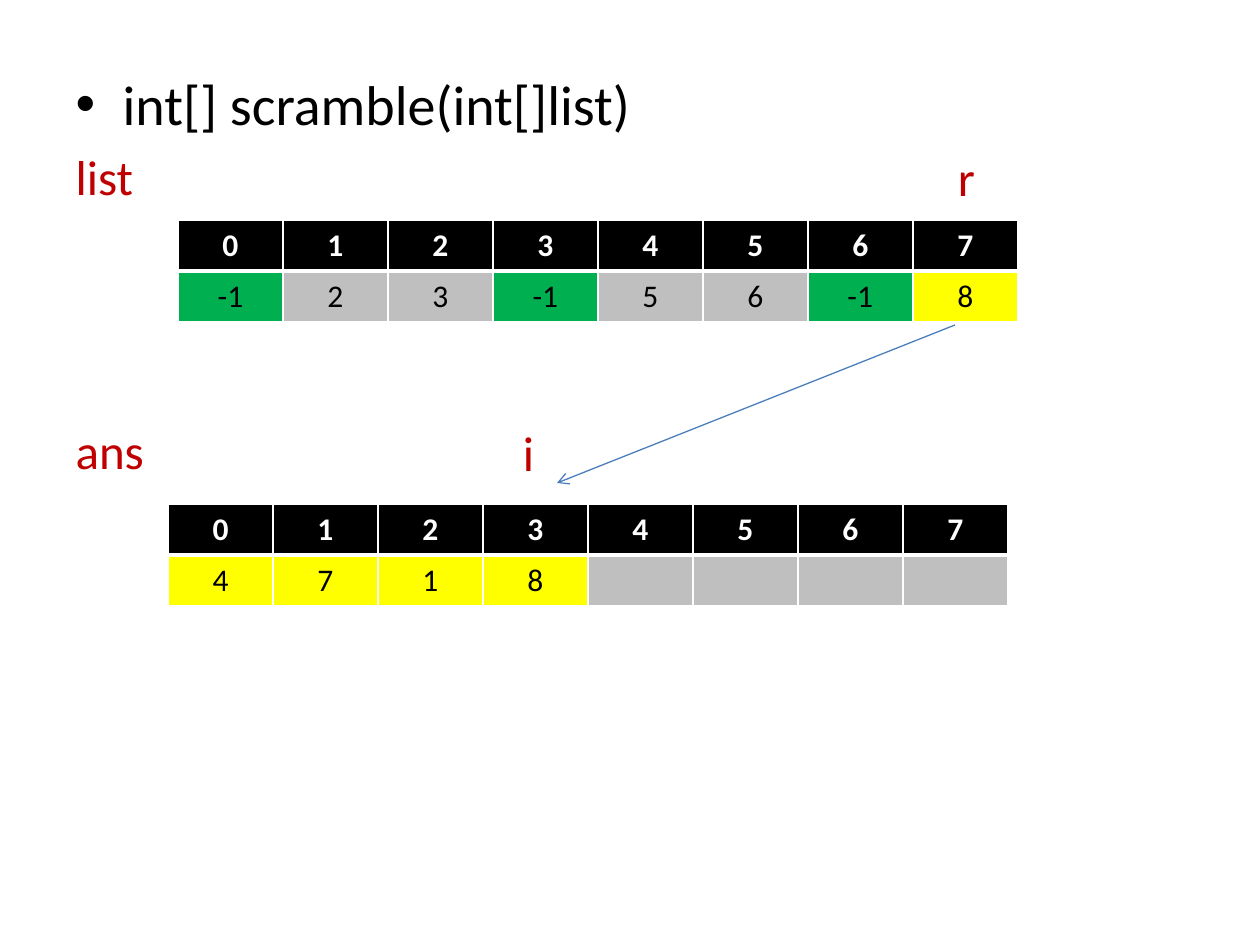
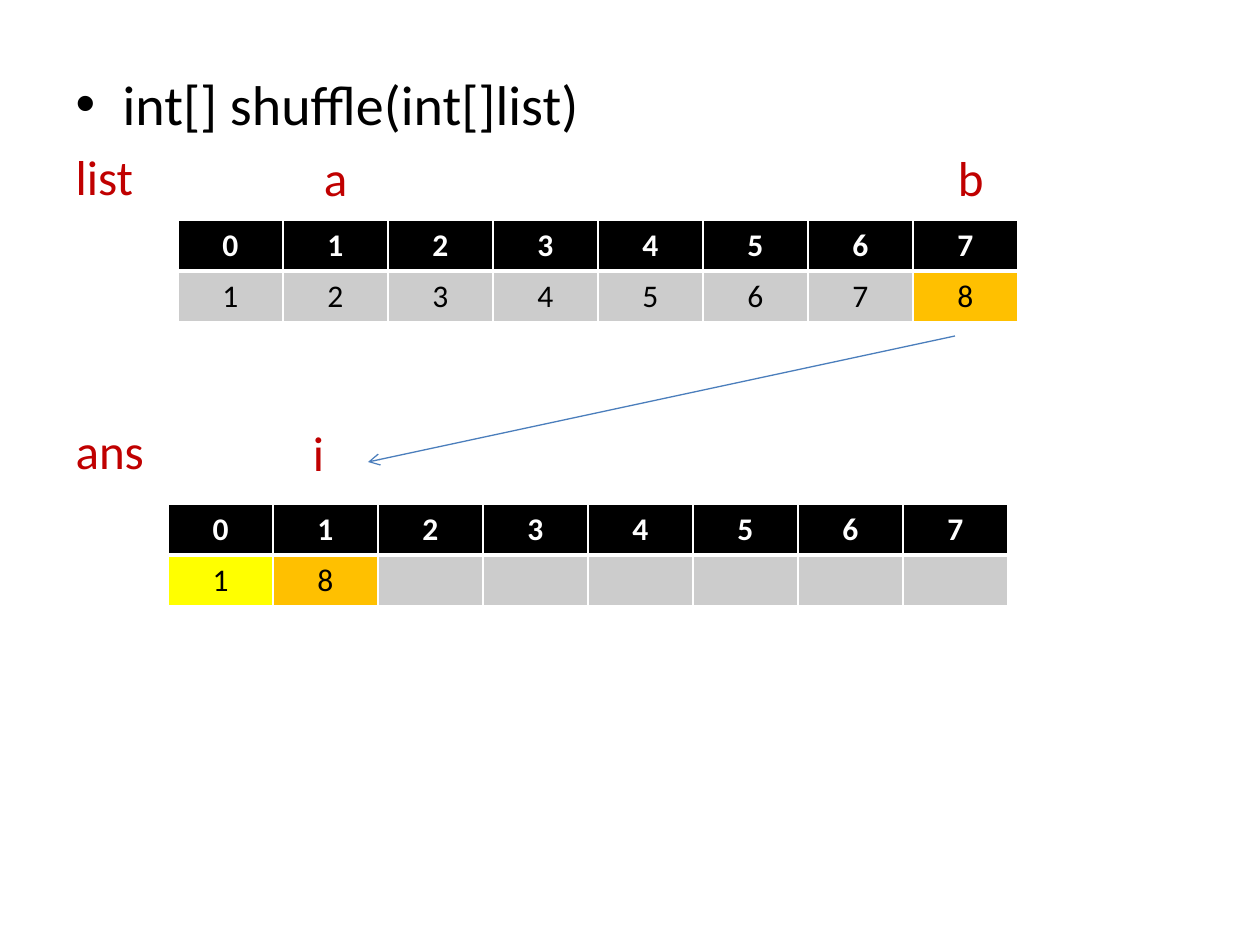
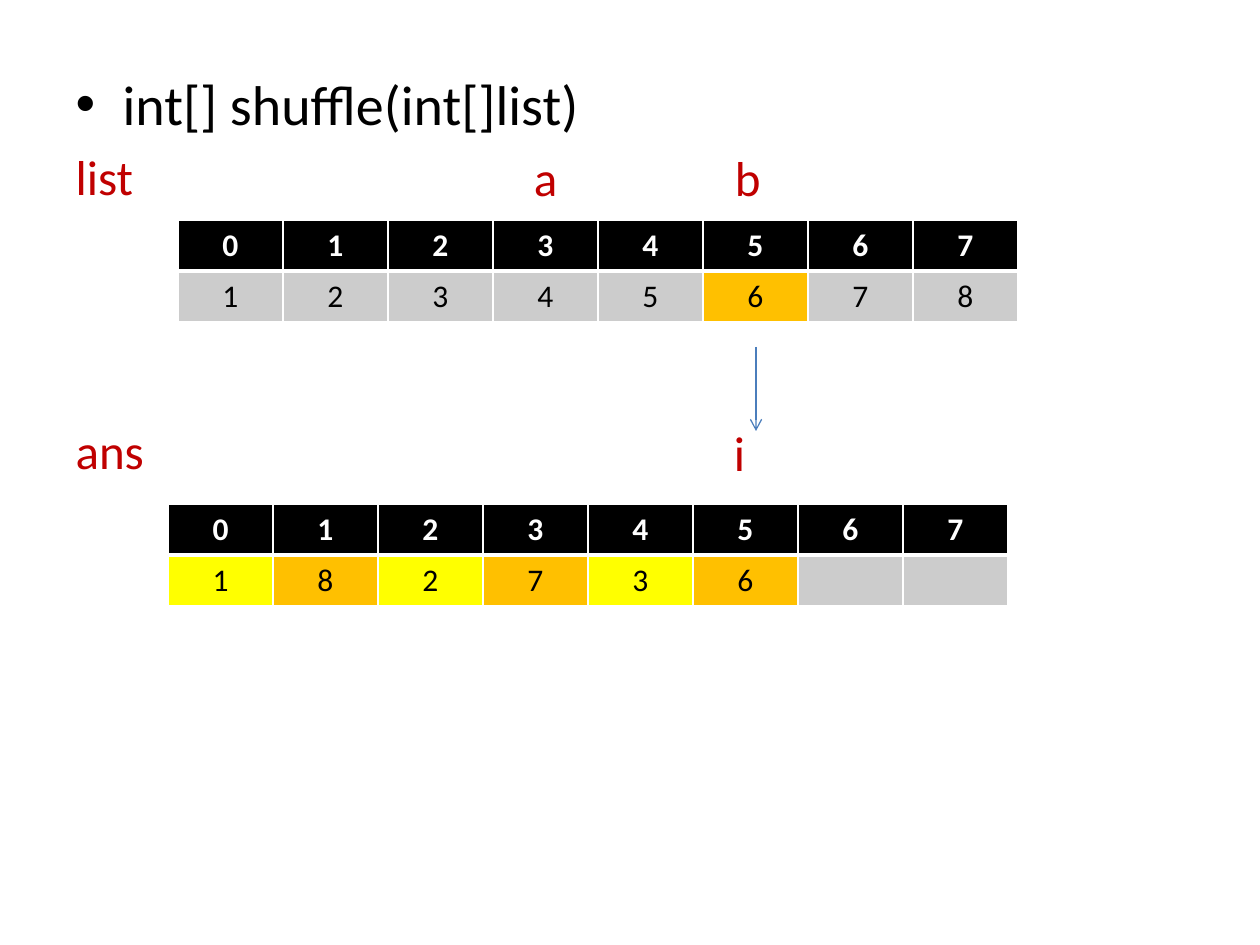
from dataclasses import dataclass

from lxml import etree
from pptx import Presentation
from pptx.dml.color import RGBColor
from pptx.enum import shapes, text
from pptx.oxml import ns
from pptx import util as u

# Cell marks: "-" plain, "t" taken from the front, "b" taken from the back, "x" used up
SLIDES = [
    dict(heading="int[] scramble(int[]list)", plain="BFBFBF",
         list_marks=[("r", 958)], ans_marks=[("i", 523)],
         list_row=[-1, 2, 3, -1, 5, 6, -1, 8], list_fills="x--x--xt",
         ans_row=[4, 7, 1, 8], ans_fills="tttt----",
         arrow=(955, 325, 557, 483)),
    dict(heading="int[] shuffle(int[]list)", plain="CCCCCC",
         list_marks=[("a", 324), ("b", 958)], ans_marks=[("i", 313)],
         list_row=[1, 2, 3, 4, 5, 6, 7, 8], list_fills="-------b",
         ans_row=[1, 8], ans_fills="tb------",
         arrow=(955, 336, 368, 462)),
    dict(heading="int[] shuffle(int[]list)", plain="CCCCCC",
         list_marks=[("a", 534), ("b", 735)], ans_marks=[("i", 734)],
         list_row=[1, 2, 3, 4, 5, 6, 7, 8], list_fills="-----b--",
         ans_row=[1, 8, 2, 7, 3, 6], ans_fills="tbtbtb--",
         arrow=(756, 347, 756, 431)),
]


@dataclass(frozen=True)
class Theme:
    font: str = "Calibri"
    ink: str = "000000"
    paper: str = "FFFFFF"
    label: str = "C00000"
    arrow: str = "4B7EBC"
    heading_pt: int = 32
    label_pt: int = 28
    cell_pt: int = 18
    rule_pt: int = 1
    header_rule_pt: int = 3
    arrow_pt: float = 0.75


THEME = Theme()
MARK_FILLS = {"t": "FFFF00", "b": "FFC000", "x": "00B050"}
PX = u.Inches(1) / 126
BODY = (63, 63, 1144, 781)
BULLET_INDENT = 47
LABEL_H, MARK_W = 60, 40
LIST_GAP, ANS_GAP = 10, 215
LIST_LABEL_TOP = 148
ANS_LABEL_TOP = LIST_LABEL_TOP + LABEL_H + ANS_GAP
COLUMNS, COLUMN_W, ROW_H = 8, 105, 51
LIST_AT, ANS_AT = (178, 220), (168, 504)


def px(n):
    return u.Emu(round(n * PX))


def add(parent, tag, **attrs):
    return etree.SubElement(parent, ns.qn(tag), {k: str(v) for k, v in attrs.items()})


def add_run(p, words, size, color, bold=False):
    r = p.add_run()
    r.text = words
    r.font.name, r.font.size, r.font.bold = THEME.font, u.Pt(size), bold
    r.font.color.rgb = RGBColor.from_string(color)


def set_bullet(p, indent, tag, **attrs):
    pPr = p._p.get_or_add_pPr()
    pPr.set("marL", str(px(indent)))
    pPr.set("indent", str(-px(indent)))
    add(pPr, tag, **attrs)


def add_body(slide, heading):
    body = slide.placeholders[1]
    body.left, body.top, body.width, body.height = map(px, BODY)
    tf = body.text_frame
    tf.auto_size = text.MSO_AUTO_SIZE.NONE
    p = tf.paragraphs[0]
    set_bullet(p, BULLET_INDENT, "a:buChar", char="•")
    p.space_before = u.Pt(0)
    add_run(p, heading, THEME.heading_pt, THEME.ink)
    for name, gap in (("list", LIST_GAP), ("ans", ANS_GAP)):
        p = tf.add_paragraph()
        set_bullet(p, 0, "a:buNone")
        p.space_before = px(gap)
        add_run(p, name, THEME.label_pt, THEME.label)


def add_marks(slide, marks, top):
    """Index variables above their cells, level with the array name."""
    for mark, left in marks:
        box = slide.shapes.add_textbox(px(left), px(top), px(MARK_W), px(LABEL_H))
        tf = box.text_frame
        tf.margin_left = tf.margin_right = tf.margin_top = tf.margin_bottom = 0
        tf.word_wrap = True
        add_run(tf.paragraphs[0], mark, THEME.label_pt, THEME.label)


def set_borders(cell, is_header):
    widths = dict.fromkeys("LRTB", THEME.rule_pt)
    widths["B" if is_header else "T"] = THEME.header_rule_pt
    tcPr = cell._tc.get_or_add_tcPr()
    for side, width in widths.items():
        ln = add(tcPr, f"a:ln{side}", w=u.Pt(width))
        add(add(ln, "a:solidFill"), "a:srgbClr", val=THEME.paper)


def fill_cell(cell, value, fill, color, is_header):
    set_borders(cell, is_header)
    cell.fill.solid()
    cell.fill.fore_color.rgb = RGBColor.from_string(fill)
    p = cell.text_frame.paragraphs[0]
    p.alignment = text.PP_ALIGN.CENTER
    if value is not None:
        add_run(p, str(value), THEME.cell_pt, color, is_header)


def add_array(slide, at, values, marks, plain):
    """Index row above a row of values, each filled by its mark."""
    table = slide.shapes.add_table(2, COLUMNS, px(at[0]), px(at[1]),
                                   px(COLUMNS * COLUMN_W), px(2 * ROW_H)).table
    for row in table.rows:
        row.height = px(ROW_H)
    padded = values + [None] * (COLUMNS - len(values))
    for i, (value, mark) in enumerate(zip(padded, marks)):
        table.columns[i].width = px(COLUMN_W)
        fill_cell(table.cell(0, i), i, THEME.ink, THEME.paper, True)
        fill_cell(table.cell(1, i), value, MARK_FILLS.get(mark, plain), THEME.ink, False)


def add_arrow(slide, ends):
    line = slide.shapes.add_connector(shapes.MSO_CONNECTOR.STRAIGHT, *map(px, ends))
    line.line.color.rgb = RGBColor.from_string(THEME.arrow)
    line.line.width = u.Pt(THEME.arrow_pt)
    add(line.line._get_or_add_ln(), "a:tailEnd", type="arrow")
    add(line._element.spPr, "a:effectLst")


def main():
    prs = Presentation()
    prs.slide_width, prs.slide_height = u.Inches(10), u.Inches(7.5)
    for content in SLIDES:
        slide = prs.slides.add_slide(prs.slide_layouts[1])
        title = slide.shapes.title._element
        title.getparent().remove(title)
        add_body(slide, content["heading"])
        for name, at, label_top in (("list", LIST_AT, LIST_LABEL_TOP),
                                    ("ans", ANS_AT, ANS_LABEL_TOP)):
            add_marks(slide, content[f"{name}_marks"], label_top)
            add_array(slide, at, content[f"{name}_row"], content[f"{name}_fills"],
                      content["plain"])
        add_arrow(slide, content["arrow"])
    prs.save("out.pptx")


if __name__ == "__main__":
    main()
